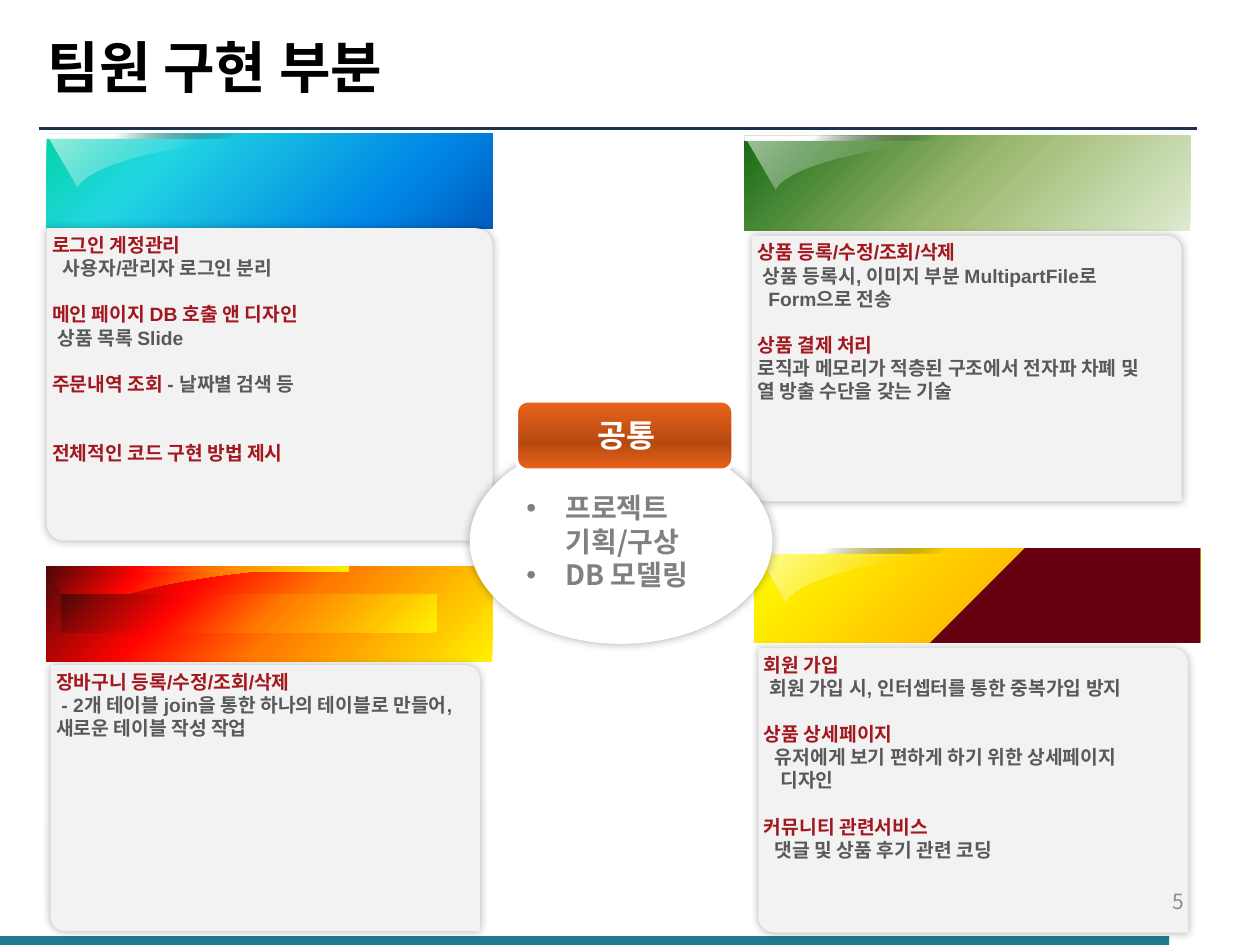
from lxml.etree import SubElement
from pptx import Presentation
from pptx.dml.color import RGBColor
from pptx.enum.shapes import MSO_CONNECTOR, MSO_SHAPE
from pptx.enum.text import MSO_ANCHOR, PP_ALIGN
from pptx.oxml import parse_xml
from pptx.oxml.ns import nsdecls, qn
from pptx.util import Cm, Pt

KOREAN_FONT = "Noto Sans CJK KR"
HEADING, DETAIL, PANEL, WHITE = "A3171E", "595959", "F2F2F2", "FFFFFF"
LINE_PITCH = 13.25
SPACE_WIDTH = 0.11

GLOSS = [(50, WHITE, 0), (100, WHITE, 60)]
STRIP = [(23, WHITE, 100), (63, "000000", 0)]
YELLOW = [(0, "FFFF00", 100), (50, "FFC000", 100), (50, "680014", 100)]
BLUE = [(0, "03D4A8", 100), (25, "21D6E0", 100), (75, "0087E6", 100), (100, "005CBF", 100)]
GREEN = [(0, "DDEBCF", 100), (50, "9CB86E", 100), (100, "156B13", 100)]
FIRE = [(0, "FFF200", 100), (45, "FF7A00", 100), (70, "FF0300", 100), (100, "4D0808", 100)]
ORANGE = [(0, "EB641B", 100), (61, "B54A10", 100), (100, "EB641B", 100)]


def paint(shape, fill, angle=0, soft_shadow=False):
    """Fill with a hex colour, or with (position, colour, opacity) stops at a clockwise angle."""
    shape.shadow.inherit = False
    shape.line.fill.background()
    shape.fill.solid()
    properties = shape.element.spPr
    if isinstance(fill, str):
        shape.fill.fore_color.rgb = RGBColor.from_string(fill)
    else:
        stops = "".join(
            f'<a:gs pos="{position * 1000}"><a:srgbClr val="{color}">'
            f'<a:alpha val="{opacity * 1000}"/></a:srgbClr></a:gs>'
            for position, color, opacity in fill)
        gradient = parse_xml(
            f'<a:gradFill {nsdecls("a")} rotWithShape="1"><a:gsLst>{stops}</a:gsLst>'
            f'<a:lin ang="{angle * 60000}" scaled="0"/></a:gradFill>')
        properties.replace(properties.find(qn("a:solidFill")), gradient)
    if soft_shadow:
        properties.find(qn("a:effectLst")).append(parse_xml(
            f'<a:outerShdw {nsdecls("a")} blurRad="63500" dist="0" dir="0">'
            '<a:srgbClr val="000000"><a:alpha val="30000"/></a:srgbClr></a:outerShdw>'))


def format_run(run, size, color, bold=True, font="Arial"):
    run.font.size = Pt(size)
    run.font.bold = bold
    run.font.name = font
    run.font.color.rgb = RGBColor.from_string(color)
    SubElement(run.font._element, qn("a:ea")).set("typeface", KOREAN_FONT)


presentation = Presentation()
presentation.slide_width, presentation.slide_height = Cm(25.4), Cm(19.05)
slide = presentation.slides.add_slide(presentation.slide_layouts[6])
shapes = slide.shapes

footer_bar = shapes.add_shape(MSO_SHAPE.RECTANGLE, Cm(0), Cm(18.87), Cm(23.57), Cm(0.18))
paint(footer_bar, "227A8F")
title_rule = shapes.add_connector(MSO_CONNECTOR.STRAIGHT, Cm(0.79), Cm(2.59), Cm(24.13), Cm(2.59))
title_rule.line.color.rgb = RGBColor.from_string("1C314E")
title_rule.line.width = Pt(1.5)
SubElement(title_rule.element.spPr, qn("a:effectLst"))

# Banner place, stops, angle, gloss stops, strip stops and strip angle, panel box,
# then lines of (blank lines before, indent in spaces, heading, detail)
sections = [
    ((15.21, 11.05), YELLOW, 45, GLOSS, STRIP, 45, (15.29, 13.06, 8.66, 5.74), [
        (0, 0, "회원 가입", ""),
        (0, 1, "", "회원 가입 시, 인터셉터를 통한 중복가입 방지"),
        (1, 0, "상품 상세페이지", ""),
        (0, 2, "", "유저에게 보기 편하게 하기 위한 상세페이지"),
        (0, 3, "", "디자인"),
        (1, 0, "커뮤니티 관련서비스", ""),
        (0, 2, "", "댓글 및 상품 후기 관련 코딩")]),
    ((0.94, 2.69), BLUE, 45, GLOSS, STRIP, 45, (0.94, 4.6, 8.99, 6.3), [
        (0, 0, "로그인 계정관리", ""),
        (0, 2, "", "사용자/관리자 로그인 분리"),
        (1, 0, "메인 페이지 DB 호출 앤 디자인", ""),
        (0, 1, "", "상품 목록 Slide"),
        (1, 0, "주문내역 조회 ", "- 날짜별 검색 등"),
        (2, 0, "전체적인 코드 구현 방법 제시", "")]),
    ((15.01, 2.74), GREEN, 225, GLOSS, STRIP, 45, (15.16, 4.75, 8.66, 5.36), [
        (0, 0, "상품 등록/수정/조회/삭제", ""),
        (0, 1, "", "상품 등록시, 이미지 부분 MultipartFile로"),
        (0, 2, "", "Form으로 전송"),
        (1, 0, "상품 결제 처리", ""),
        (0, 0, "", "로직과 메모리가 적층된 구조에서 전자파 차폐 및"),
        (0, 0, "", "열 방출 수단을 갖는 기술")]),
    ((0.94, 11.43), FIRE, 225, FIRE, FIRE, 225, (1.02, 13.41, 8.66, 5.36), [
        (0, 0, "장바구니 등록/수정/조회/삭제", ""),
        (0, 1, "", "- 2개 테이블 join을 통한 하나의 테이블로 만들어, 새로운 테이블 작성 작업")]),
]

# Upper edge of the gloss: a Bézier curve from its low tip to its far right end
curve = [(0.63, 1.09), (0.99, 0.38), (4.37, 0), (5.46, 0.02)]
gloss_edge = []
for step in range(21):
    t = step / 20
    weights = ((1 - t) ** 3, 3 * t * (1 - t) ** 2, 3 * t * t * (1 - t), t ** 3)
    gloss_edge.append([sum(w * point[axis] for w, point in zip(weights, curve)) for axis in (0, 1)])

for (left, top), stops, angle, gloss_stops, strip_stops, strip_angle, panel_box, lines in sections:
    banner = shapes.add_shape(MSO_SHAPE.RECTANGLE, Cm(left), Cm(top), Cm(8.99), Cm(1.91))
    paint(banner, stops, angle)
    outline = [(Cm(left + x), Cm(top + y)) for x, y in gloss_edge + [(0, 0.02)]]
    builder = shapes.build_freeform(*outline[0])
    builder.add_line_segments(outline[1:], close=True)
    paint(builder.convert_to_shape(), gloss_stops, 225)
    strip = shapes.add_shape(MSO_SHAPE.RECTANGLE, Cm(left), Cm(top), Cm(6.1), Cm(0.1))
    paint(strip, strip_stops, strip_angle)

    panel = shapes.add_shape(MSO_SHAPE.ROUND_2_DIAG_RECTANGLE, *map(Cm, panel_box))
    panel.adjustments[0], panel.adjustments[1] = 0, 0.055
    paint(panel, PANEL, soft_shadow=True)
    x, y, width, height = panel_box
    text_box = shapes.add_textbox(Cm(x + 0.11), Cm(y + 0.1), Cm(width - 0.33), Cm(height - 0.2))
    text_frame = text_box.text_frame
    text_frame.word_wrap = True
    text_frame.margin_left = text_frame.margin_right = 0
    text_frame.margin_top = text_frame.margin_bottom = 0
    for index, (gap, indent, heading, detail) in enumerate(lines):
        paragraph = text_frame.add_paragraph() if index else text_frame.paragraphs[0]
        paragraph.line_spacing = Pt(LINE_PITCH)
        paragraph.space_before = Pt(gap * LINE_PITCH)
        paragraph._p.get_or_add_pPr().set("indent", str(Cm(indent * SPACE_WIDTH)))
        for text, color in ((heading, HEADING), (detail, DETAIL)):
            if text:
                run = paragraph.add_run()
                run.text = text
                format_run(run, 11, color)

fire_bar = shapes.add_shape(MSO_SHAPE.RECTANGLE, Cm(1.24), Cm(11.99), Cm(7.57), Cm(0.76))
paint(fire_bar, FIRE, 225)

common_oval = shapes.add_shape(MSO_SHAPE.OVAL, Cm(9.47), Cm(8.84), Cm(6.1), Cm(4.14))
paint(common_oval, WHITE, soft_shadow=True)
common_oval.text_frame.word_wrap = True
common_oval.text_frame.vertical_anchor = MSO_ANCHOR.MIDDLE
common_oval.text_frame.text = "프로젝트 기획/구상\nDB 모델링"
for paragraph in common_oval.text_frame.paragraphs:
    paragraph.alignment = PP_ALIGN.LEFT
    paragraph.line_spacing = Pt(19.15)
    properties = paragraph._p.get_or_add_pPr()
    properties.set("marL", str(Cm(0.79)))
    properties.set("indent", str(Cm(-0.79)))
    SubElement(properties, qn("a:buFont")).set("typeface", "Arial")
    SubElement(properties, qn("a:buChar")).set("char", "•")
    format_run(paragraph.runs[0], 16, "808080", font=KOREAN_FONT)

common_tab = shapes.add_shape(MSO_SHAPE.ROUNDED_RECTANGLE, Cm(10.41), Cm(8.08), Cm(4.37), Cm(1.4))
paint(common_tab, ORANGE, 90)
common_tab.line.color.rgb = RGBColor.from_string(WHITE)
common_tab.line.width = Pt(2)

labels = [
    ("팀원 구현 부분", (0.71, 0.1, 23.7, 2.46), PP_ALIGN.LEFT, 32, "000000", True, "Arial"),
    ("공통", (10.34, 8.26, 4.57, 1.02), PP_ALIGN.CENTER, 18, WHITE, True, "Arial"),
    ("5", (18.21, 17.65, 5.92, 1.02), PP_ALIGN.RIGHT, 12, "8C8C8C", False, KOREAN_FONT),
]
for text, box, alignment, size, color, bold, font in labels:
    text_frame = shapes.add_textbox(*map(Cm, box)).text_frame
    text_frame.word_wrap = True
    text_frame.vertical_anchor = MSO_ANCHOR.MIDDLE
    text_frame.text = text
    paragraph = text_frame.paragraphs[0]
    paragraph.alignment = alignment
    format_run(paragraph.runs[0], size, color, bold, font)

presentation.save("out.pptx")
